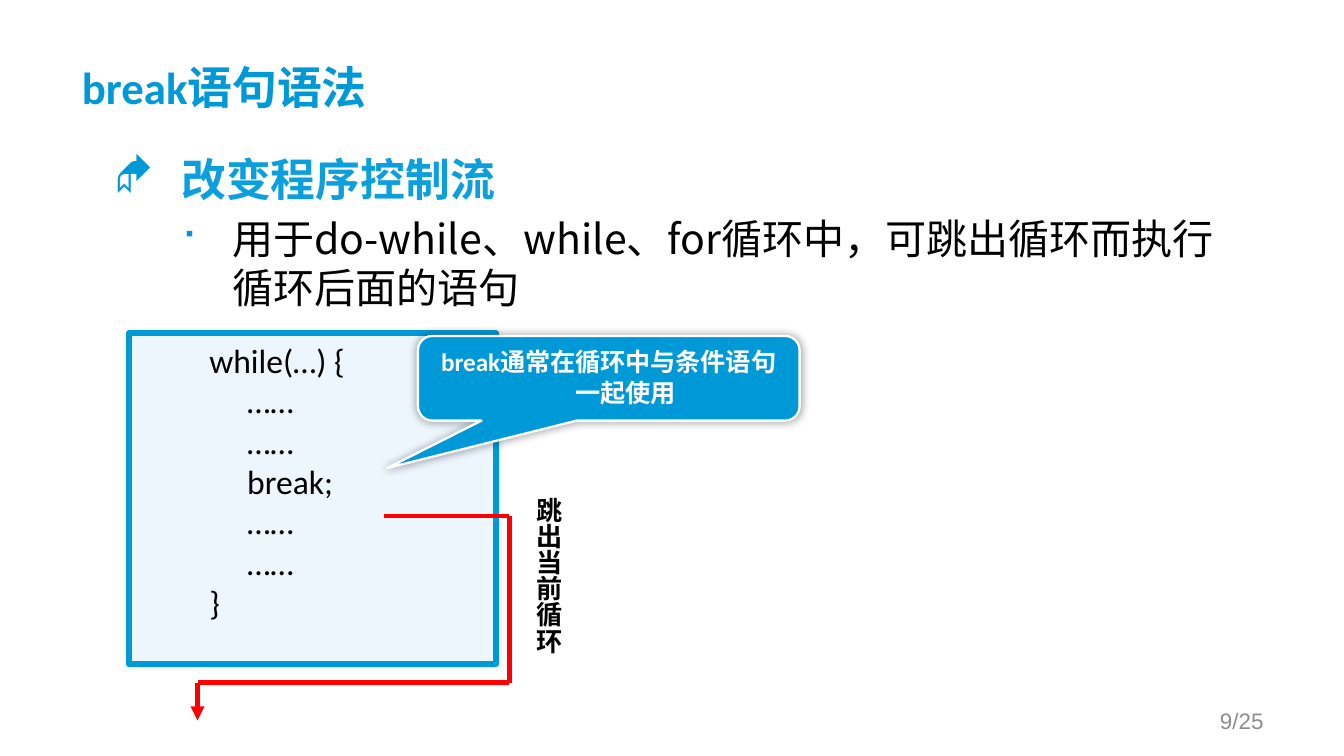
"""Build the slide that explains the syntax of the break statement."""
import pptx
import pptx.dml.color
import pptx.enum.shapes
import pptx.enum.text
import pptx.oxml
import pptx.oxml.ns
import pptx.util

Inches = pptx.util.Inches
Pt = pptx.util.Pt
RGBColor = pptx.dml.color.RGBColor
Align = pptx.enum.text.PP_ALIGN
Anchor = pptx.enum.text.MSO_ANCHOR
Shape = pptx.enum.shapes.MSO_SHAPE

BLUE = RGBColor(0x00, 0x99, 0xD8)
HEADING_BLUE = RGBColor(0x0B, 0x9F, 0xDD)
PALE = RGBColor(0xED, 0xF5, 0xFD)
RED = RGBColor(0xFF, 0x00, 0x00)
GRAY = RGBColor(0x8C, 0x8C, 0x8C)
BLACK = RGBColor(0x00, 0x00, 0x00)
WHITE = RGBColor(0xFF, 0xFF, 0xFF)
CJK = "Noto Sans CJK SC"

TITLE = "break语句语法"
BULLETS = [
    {"text": "改变程序控制流", "mark": "◆", "scale": 100, "left": 0.5, "hang": 0.5,
     "size": 24, "color": HEADING_BLUE, "bold": True, "before": 0},
    {"text": "用于do-while、while、for循环中，可跳出循环而执行循环后面的语句",
     "mark": "■", "scale": 90, "left": 0.88, "hang": 0.38,
     "size": 22, "color": BLACK, "bold": False, "before": 4.4},
]
CODE = ["while(…) {", "     ……", "     ……", "     break;", "     ……", "     ……", "}"]
CALLOUT = "break通常在循环中与条件语句一起使用"
JUMP_LABEL = "跳出当前循环"
PAGE_NUMBER = "9/25"
JUMP_PATH = [(2.86, 3.84), (3.79, 3.84), (3.79, 5.08), (1.47, 5.08), (1.47, 5.36)]


def add_xml(parent, markup):
    """Append a drawing element written as markup."""
    namespace = pptx.oxml.ns.nsdecls("a")
    element = pptx.oxml.parse_xml(markup.replace(">", f" {namespace}>", 1))
    parent.append(element)


def style(para, size, font, color, bold=False):
    """Format every run of a paragraph."""
    for span in para.runs:
        span.font.size = Pt(size)
        span.font.name = font
        span.font.bold = bold
        span.font.color.rgb = color
        add_xml(span.font._element, f'<a:ea typeface="{CJK}"></a:ea>')


def indent(para, left, hang=0):
    """Set the left margin and hanging indent of a paragraph."""
    properties = para._p.get_or_add_pPr()
    properties.set("marL", str(Inches(left)))
    properties.set("indent", str(-Inches(hang)))
    return properties


def add_text(page, place, text, size, font, color, bold=False):
    """Add a wrapping one-paragraph text box."""
    box = page.shapes.add_textbox(*map(Inches, place))
    box.text_frame.word_wrap = True
    box.text_frame.text = text
    style(box.text_frame.paragraphs[0], size, font, color, bold)
    return box


def add_panel(page, kind, place, adjustments, fill, line, width, blur, opacity):
    """Add a filled, outlined shape with a soft shadow."""
    panel = page.shapes.add_shape(kind, *map(Inches, place))
    for index, value in enumerate(adjustments):
        panel.adjustments[index] = value
    panel.fill.solid()
    panel.fill.fore_color.rgb = fill
    panel.line.color.rgb = line
    panel.line.width = Pt(width)
    panel.shadow.inherit = False
    effects = panel._element.spPr.find(pptx.oxml.ns.qn("a:effectLst"))
    add_xml(effects, f'<a:outerShdw blurRad="{Pt(blur)}" dist="0"><a:srgbClr val="000000">'
                     f'<a:alpha val="{opacity * 1000}"/></a:srgbClr></a:outerShdw>')
    panel.text_frame.word_wrap = True
    panel.text_frame.vertical_anchor = Anchor.TOP
    return panel


def add_bullets(page):
    """Add the two-level bullet list."""
    box = page.shapes.add_textbox(*map(Inches, (0.75, 1.08, 8.49, 4.33)))
    frame = box.text_frame
    frame.word_wrap = True
    frame.text = "\n".join(item["text"] for item in BULLETS)
    for level, (para, item) in enumerate(zip(frame.paragraphs, BULLETS)):
        para.level = level
        if item["before"]:
            para.space_before = Pt(item["before"])
        properties = indent(para, item["left"], item["hang"])
        add_xml(properties, f'<a:buClr><a:srgbClr val="{BLUE}"/></a:buClr>')
        add_xml(properties, f'<a:buSzPct val="{item["scale"] * 1000}"></a:buSzPct>')
        add_xml(properties, '<a:buFont typeface="Wingdings" charset="2"></a:buFont>')
        add_xml(properties, f'<a:buChar char="{item["mark"]}"></a:buChar>')
        style(para, item["size"], CJK, item["color"], item["bold"])


def add_jump(page):
    """Draw the red path that leaves the loop."""
    for start, end in zip(JUMP_PATH, JUMP_PATH[1:]):
        line = page.shapes.add_connector(
            pptx.enum.shapes.MSO_CONNECTOR.STRAIGHT, *map(Inches, start + end))
        line.line.color.rgb = RED
        line.line.width = Pt(2.5)
        if end == JUMP_PATH[-1]:
            add_xml(line.line._get_or_add_ln(), '<a:tailEnd type="triangle"></a:tailEnd>')
        add_xml(line._element.spPr, "<a:effectLst></a:effectLst>")


def main():
    """Assemble and save the slide."""
    deck = pptx.Presentation()
    deck.slide_width = Inches(10)
    deck.slide_height = deck.slide_width * 9 // 16
    page = deck.slides.add_slide(deck.slide_layouts[5])

    title = page.shapes.title
    title.left, title.top, title.width, title.height = map(Inches, (0.51, 0.21, 3.62, 0.87))
    title.text_frame.text = TITLE
    title.text_frame.vertical_anchor = Anchor.MIDDLE
    title.text_frame.paragraphs[0].alignment = Align.LEFT
    style(title.text_frame.paragraphs[0], 24, "Calibri", BLUE, True)

    code = add_panel(page, Shape.ROUNDED_RECTANGLE, (0.96, 2.48, 2.73, 2.46), [0],
                     PALE, BLUE, 3, 3, 10)
    code.text_frame.text = "\n".join(CODE)
    for para in code.text_frame.paragraphs:
        para.alignment = Align.LEFT
        indent(para, 0.5)
        style(para, 18, "Calibri", BLACK)

    add_bullets(page)
    add_jump(page)

    label = add_text(page, (3.82, 3.6, 0.43, 1.48), JUMP_LABEL, 14, "Arial", BLACK, True)
    label.text_frame._txBody.bodyPr.set("vert", "eaVert")

    callout = add_panel(page, Shape.ROUNDED_RECTANGULAR_CALLOUT, (3.11, 2.5, 2.84, 0.63),
                        [-0.58, 1.06, 0.17], BLUE, WHITE, 1.25, 5, 40)
    callout.text_frame.text = CALLOUT
    para = callout.text_frame.paragraphs[0]
    para.alignment = Align.CENTER
    indent(para, 0.25, 0.25)
    style(para, 13.5, "Calibri", WHITE, True)

    number = add_text(page, (7.17, 5.21, 2.33, 0.3), PAGE_NUMBER, 12, "Arial", GRAY)
    number.text_frame.vertical_anchor = Anchor.MIDDLE
    number.text_frame.paragraphs[0].alignment = Align.RIGHT

    deck.save("out.pptx")


if __name__ == "__main__":
    main()
